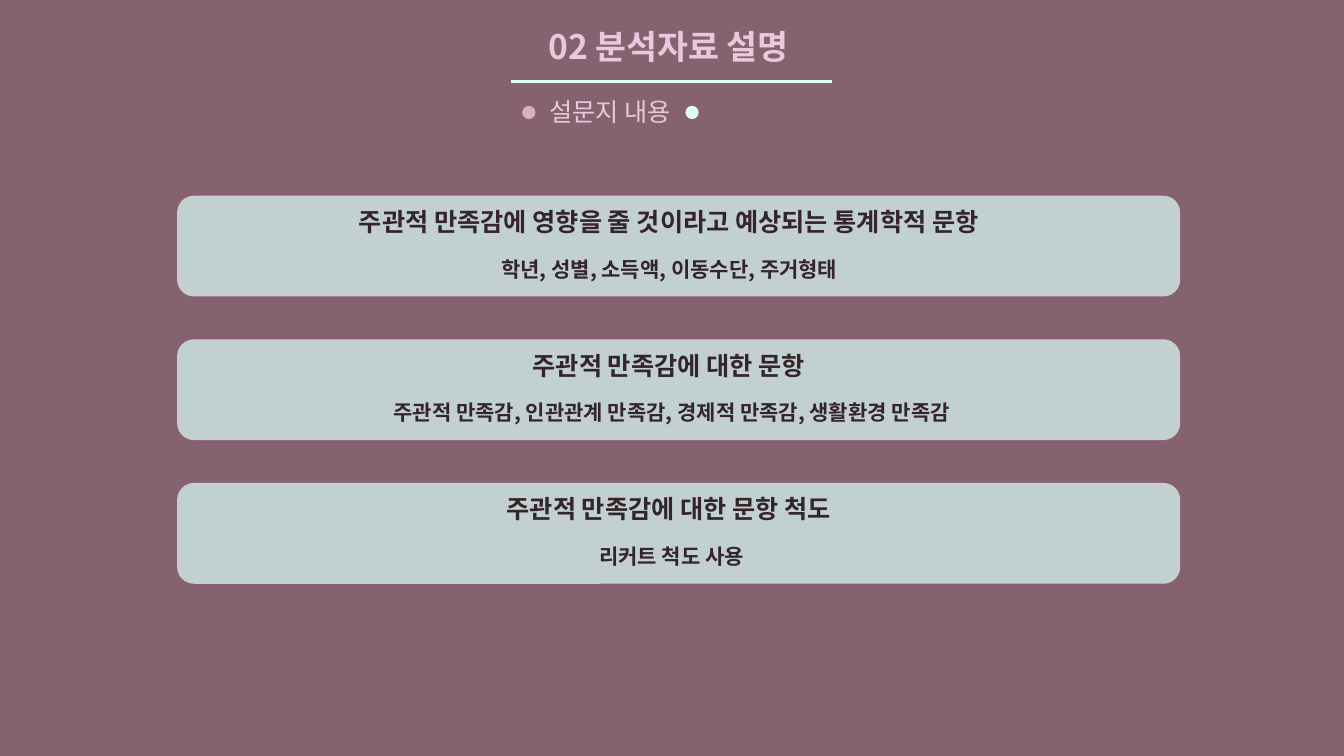
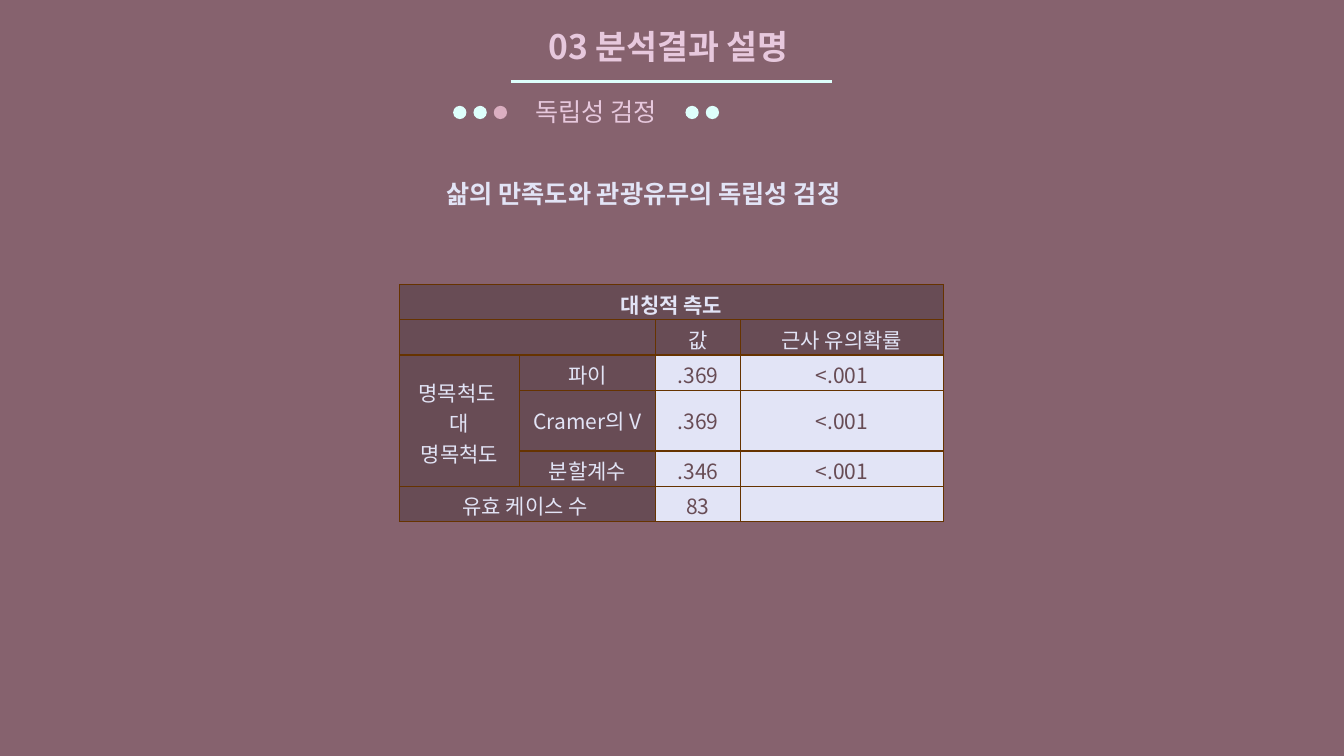
from lxml.etree import SubElement
from pptx import Presentation
from pptx.dml.color import RGBColor
from pptx.enum.shapes import MSO_CONNECTOR, MSO_SHAPE
from pptx.enum.text import MSO_ANCHOR, MSO_AUTO_SIZE, PP_ALIGN
from pptx.oxml.ns import qn
from pptx.util import Pt

CENTER, LEFT = PP_ALIGN.CENTER, PP_ALIGN.LEFT
MIDDLE = MSO_ANCHOR.MIDDLE
NO_FIT = MSO_AUTO_SIZE.NONE
DOT, CARD = MSO_SHAPE.FLOWCHART_CONNECTOR, MSO_SHAPE.ROUNDED_RECTANGLE
STRAIGHT = MSO_CONNECTOR.STRAIGHT

FONT = "Noto Sans CJK KR"
PLUM, MINT, ROSE = "86626E", "DEFFFC", "DBAFC1"
PINK, INK, LILAC = "E7C8DD", "332529", "E2E4F6"
DARK, BROWN = "684C55", "663300"

TITLE = {"size": Pt(24), "bold": True}
SUBTITLE = {"size": Pt(18), "bold": False}
HEADING = {"size": Pt(18), "bold": True}
DETAIL = {"size": Pt(15), "bold": True}
CELL = {"size": Pt(15), "bold": False}

DOT_SIZE, DOT_STEP, DOT_TOP = 9.5, 14.5, 75.6


def color(value):
    return RGBColor.from_string(value)


def points(box):
    return [Pt(length) for length in box]


def paint(fill, value):
    fill.solid()
    fill.fore_color.rgb = color(value)


def write(para, text, style, ink, align=CENTER):
    para.alignment = align
    span = para.add_run()
    span.text = text
    for name, value in style.items():
        setattr(span.font, name, value)
    span.font.name = FONT
    span.font.color.rgb = color(ink)
    SubElement(span.font._element, qn("a:ea"), typeface=FONT)


def frame_of(shape):
    frame = shape.text_frame
    settings = {"word_wrap": True, "auto_size": NO_FIT,
                "vertical_anchor": MIDDLE}
    for name, value in settings.items():
        setattr(frame, name, value)
    return frame


def add_text(page, box, text, style, ink, align=CENTER):
    frame = frame_of(page.shapes.add_textbox(*points(box)))
    write(frame.paragraphs[0], text, style, ink, align)
    return frame


def add_shape(page, kind, box, value):
    shape = page.shapes.add_shape(kind, *points(box))
    shape.shadow.inherit = False
    shape.line.fill.background()
    paint(shape.fill, value)
    return shape


def add_dots(page, left, colors):
    for index, value in enumerate(colors):
        box = (left + index * DOT_STEP, DOT_TOP, DOT_SIZE, DOT_SIZE)
        add_shape(page, DOT, box, value)


def add_page(deck, title, subtitle, subtitle_box, dot_groups):
    """Slide with title, underline, subtitle and progress dots."""
    page = deck.slides.add_slide(deck.slide_layouts[5])
    # Title placeholder
    holder = page.shapes.title
    holder.left, holder.top, holder.width, holder.height = points(
        (358.6, 15, 243.4, 36))
    write(frame_of(holder).paragraphs[0], title, TITLE, PINK)
    # Underline
    rule = page.shapes.add_connector(
        STRAIGHT, *points((365, 58.3, 594, 58.3)))
    rule.line.width = Pt(2.25)
    rule.line.color.rgb = color(MINT)
    SubElement(rule._element.spPr, qn("a:effectLst"))
    # Subtitle and dots
    add_text(page, subtitle_box, subtitle, SUBTITLE, PINK)
    for left, colors in dot_groups:
        add_dots(page, left, colors)
    return page


def add_card(page, box, heading, detail):
    """Translucent card with a heading over a detail line."""
    left, top, width, height = box
    card = add_shape(page, CARD, box, MINT)
    tint = card._element.spPr.find(".//" + qn("a:srgbClr"))
    SubElement(tint, qn("a:alpha"), val="70000")
    text_box = (left + 85, top + 2, width - 180, height - 7)
    frame = add_text(page, text_box, heading, HEADING, INK)
    para = frame.add_paragraph()
    para.space_before = Pt(14)
    write(para, detail, DETAIL, INK)


def add_borders(cell):
    properties = cell._tc.get_or_add_tcPr()
    for side in ("lnL", "lnR", "lnT", "lnB"):
        line = SubElement(properties, qn("a:" + side), w=str(Pt(1)))
        fill = SubElement(line, qn("a:solidFill"))
        SubElement(fill, qn("a:srgbClr"), val=BROWN)


def fill_cell(cell, text, is_value, style, top_margin):
    margins = {"margin_left": Pt(10), "margin_right": Pt(10),
               "margin_top": Pt(top_margin), "margin_bottom": Pt(0),
               "vertical_anchor": MIDDLE}
    for name, value in margins.items():
        setattr(cell, name, value)
    add_borders(cell)
    paint(cell.fill, LILAC if is_value else DARK)
    frame = cell.text_frame
    if not text:
        SubElement(frame.paragraphs[0]._p, qn("a:endParaRPr"), sz="1500")
        return
    for index, line in enumerate(text.split("\n")):
        para = frame.add_paragraph() if index else frame.paragraphs[0]
        write(para, line, style, DARK if is_value else LILAC)


def add_measures(page, left, top, widths, heights, rows, spans):
    """Table with dark labels and light values."""
    box = (left, top, sum(widths), sum(heights))
    table = page.shapes.add_table(
        len(rows), len(widths), *points(box)).table
    for column, width in zip(table.columns, widths):
        column.width = Pt(width)
    for row, height in zip(table.rows, heights):
        row.height = Pt(height)
    for first, last in spans:
        table.cell(*first).merge(table.cell(*last))
    for r, texts in enumerate(rows):
        for c, text in enumerate(texts):
            style = DETAIL if r == 0 else CELL
            top_margin = 0 if heights[r] > 30 else 3
            fill_cell(table.cell(r, c), text, r > 1 and c > 1,
                      style, top_margin)


def build_survey(deck):
    page = add_page(deck, "02 분석자료 설명 ", "설문지 내용",
                    (379.4, 65.5, 113, 28.8),
                    [(373, [ROSE]), (489.6, [MINT])])
    cards = [
        ("주관적 만족감에 영향을 줄 것이라고 예상되는 통계학적 문항 ",
         "학년, 성별, 소득액, 이동수단, 주거형태 "),
        ("주관적 만족감에 대한 문항 ",
         "주관적 만족감, 인관관계 만족감, 경제적 만족감, 생활환경 만족감"),
        ("주관적 만족감에 대한 문항 척도 ", "리커트 척도 사용"),
    ]
    for index, (heading, detail) in enumerate(cards):
        add_card(page, (126.5, 139.8 + index * 102.6, 716.5, 72),
                 heading, detail)


def build_result(deck):
    page = add_page(deck, "03 분석결과 설명 ", "독립성 검정",
                    (358.6, 65.5, 134, 28.8),
                    [(323.7, [MINT, MINT, ROSE]), (489.6, [MINT, MINT])])
    add_text(page, (311.8, 123.8, 335.5, 28.8),
             "삶의 만족도와 관광유무의 독립성 검정", HEADING, LILAC, LEFT)
    rows = [
        ("대칭적 측도", "", "", ""),
        ("", "", "값", "근사 유의확률"),
        ("명목척도 \n대\n명목척도", "파이", ".369", "<.001"),
        ("", "Cramer의 V", ".369", "<.001"),
        ("", "분할계수", ".346", "<.001"),
        ("유효 케이스 수 ", "", "83", ""),
    ]
    spans = [((0, 0), (0, 3)), ((1, 0), (1, 1)),
             ((2, 0), (4, 0)), ((5, 0), (5, 1))]
    add_measures(page, 285.3, 203.4, (85.7, 97.2, 60.7, 145),
                 (25.1, 25.1, 25.1, 43.5, 25.1, 25.1), rows, spans)


def main():
    deck = Presentation()
    deck.slide_width, deck.slide_height = Pt(960), Pt(540)
    paint(deck.slide_master.background.fill, PLUM)
    build_survey(deck)
    build_result(deck)
    deck.save("out.pptx")


if __name__ == "__main__":
    main()
